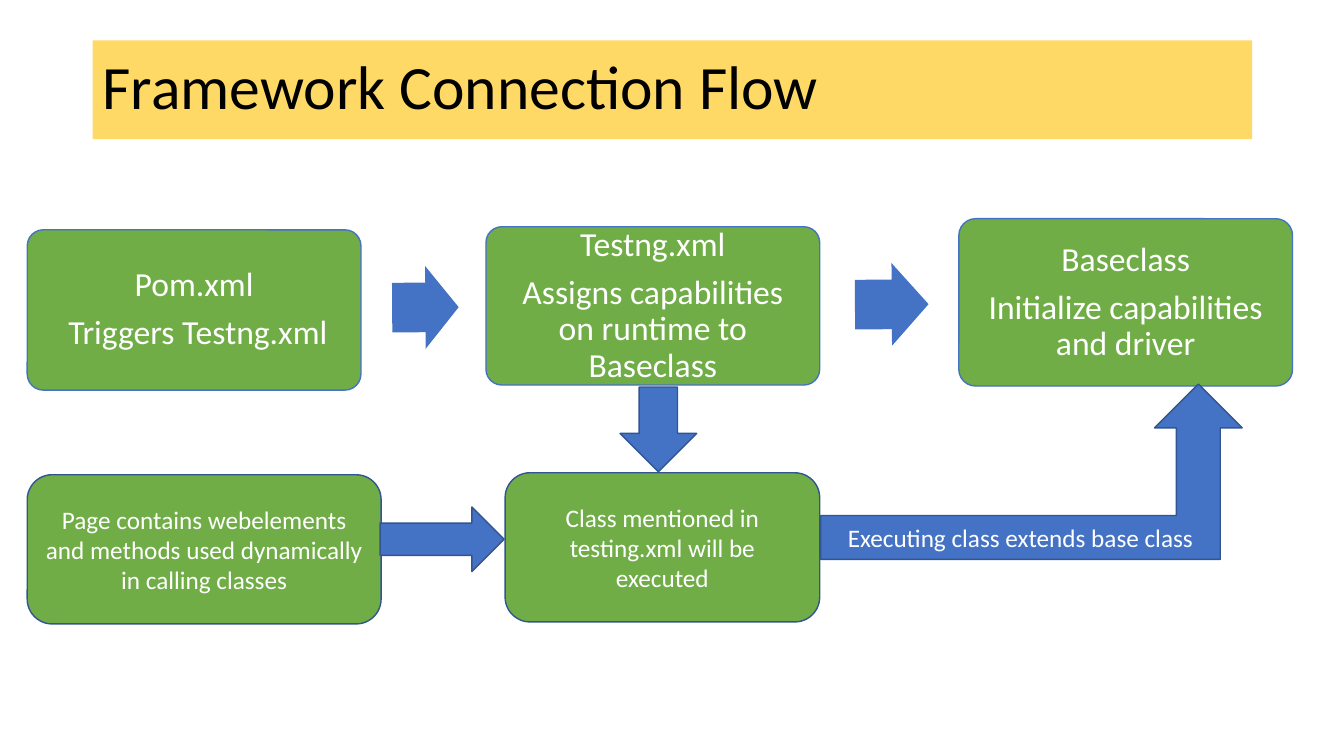
"""Draws the framework connection flow slide."""
from dataclasses import dataclass

from pptx import Presentation
from pptx import util as u
from pptx.dml.color import RGBColor
from pptx.enum import shapes, text

PX = 9144
GREEN, BLUE, NAVY, YELLOW = "70AD47", "4472C4", "325491", "FFD966"
WHITE, BLACK = "FFFFFF", "000000"
Kind = shapes.MSO_SHAPE


@dataclass(frozen=True)
class Block:
    """A preset shape with its place, in px, and its look."""
    kind: Kind
    left: int
    top: int
    width: int
    height: int
    fill: str = BLUE
    line: str | None = NAVY
    adjustments: tuple[float, ...] = ()
    rotation: float = 0


@dataclass(frozen=True)
class Label:
    """A block with text in it."""
    block: Block
    paragraphs: tuple[str, ...]


def file_box(left: int, top: int, height: int) -> Block:
    """Describes a box of the upper row."""
    return Block(Kind.ROUNDED_RECTANGLE, left, top, 331, height, line=BLUE,
                 fill=GREEN, adjustments=(0.1,))


def class_box(left: int, top: int, width: int) -> Block:
    """Describes a box of the lower row."""
    return Block(Kind.ROUNDED_RECTANGLE, left, top, width, 148, fill=GREEN)


def step_arrow(left: int, top: int, width: int) -> Block:
    """Describes an arrow between two boxes of the upper row."""
    return Block(Kind.RIGHT_ARROW, left, top, width, 82, line=None,
                 adjustments=(0.6, 0.5), rotation=359.6)


TITLE = Block(Kind.RECTANGLE, 92, 40, 1150, 98, fill=YELLOW, line=None)
FILES = (
    Label(file_box(27, 228, 159), ("Pom.xml", " Triggers Testng.xml")),
    Label(file_box(482, 225, 157),
          ("Testng.xml", "Assigns capabilities on runtime to Baseclass")),
    Label(file_box(951, 217, 166),
          ("Baseclass", "Initialize capabilities and driver")),
)
CLASSES = (
    Label(class_box(501, 469, 312),
          ("Class mentioned in testing.xml will be executed",)),
    Label(Block(Kind.BENT_UP_ARROW, 814, 381, 418, 174),
          ("Executing class extends base class",)),
    Label(class_box(27, 471, 351),
          ("Page contains webelements and methods used dynamically "
           "in calling classes",)),
)
ARROWS = (
    step_arrow(389, 264, 66),
    step_arrow(848, 261, 73),
    Block(Kind.DOWN_ARROW, 615, 384, 76, 84),
    Block(Kind.RIGHT_ARROW, 377, 503, 123, 64),
)


def color(value: str) -> RGBColor:
    """Turns a hex string into a colour."""
    return RGBColor.from_string(value)


def draw(page, block: Block):
    """Adds a block to the page and returns its shape."""
    place = (block.left, block.top, block.width, block.height)
    shape = page.shapes.add_shape(block.kind, *(PX * side for side in place))
    shape.shadow.inherit = False
    shape.rotation = block.rotation
    for index, value in enumerate(block.adjustments):
        shape.adjustments[index] = value
    shape.fill.solid()
    shape.fill.fore_color.rgb = color(block.fill)
    if block.line:
        shape.line.color.rgb = color(block.line)
        shape.line.width = u.Pt(1)
    else:
        shape.line.fill.background()
    return shape


def write(shape, paragraphs: tuple[str, ...], *, size: int, ink: str = WHITE,
          align=text.PP_ALIGN.CENTER, spacing: float = 1.0, after: float = 0,
          margin: int | None = None) -> None:
    """Fills a shape with formatted paragraphs."""
    frame = shape.text_frame
    frame.word_wrap = True
    frame.vertical_anchor = text.MSO_ANCHOR.MIDDLE
    if margin is not None:
        frame.margin_left = frame.margin_right = PX * margin
        frame.margin_top = frame.margin_bottom = PX * margin
    for index, words in enumerate(paragraphs):
        para = frame.add_paragraph() if index else frame.paragraphs[0]
        para.alignment = align
        para.line_spacing = spacing
        para.space_after = u.Pt(after)
        span = para.add_run()
        span.text = words
        span.font.name = "Calibri"
        span.font.size = u.Pt(size)
        span.font.color.rgb = color(ink)


def main() -> None:
    """Builds the slide and saves it."""
    deck = Presentation()
    deck.slide_width, deck.slide_height = u.Inches(13.33), u.Inches(7.5)
    page = deck.slides.add_slide(deck.slide_layouts[6])
    write(draw(page, TITLE), ("Framework Connection Flow",), size=44,
          ink=BLACK, align=text.PP_ALIGN.LEFT, spacing=0.9)
    for label in FILES:
        write(draw(page, label.block), label.paragraphs, size=24,
              spacing=0.9, after=8.4, margin=14)
    for label in CLASSES:
        write(draw(page, label.block), label.paragraphs, size=18)
    for arrow in ARROWS:
        draw(page, arrow)
    deck.save("out.pptx")


if __name__ == "__main__":
    main()
